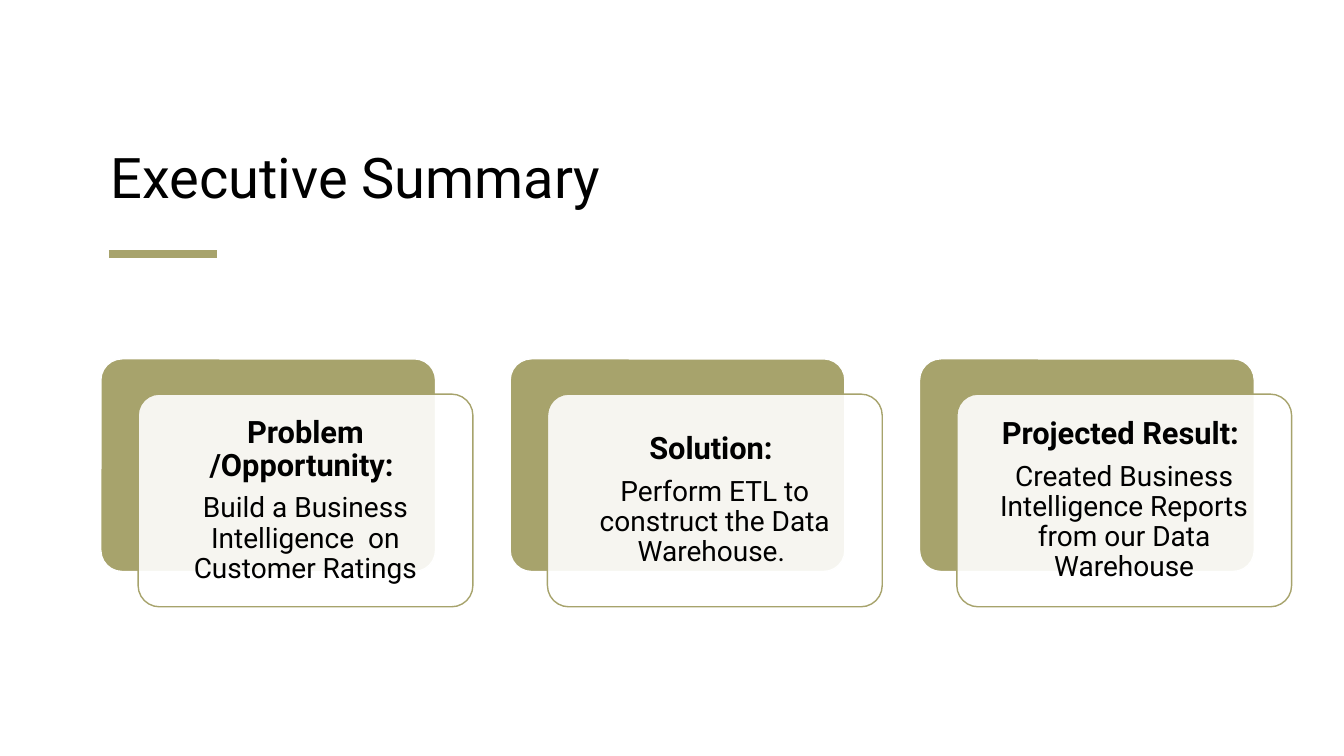
from lxml import etree
from pptx import Presentation
from pptx import util as u
from pptx.dml.color import RGBColor
from pptx.enum import shapes, text
from pptx.oxml.ns import qn

# Content
TITLE = "Executive Summary"
CARDS = [
    ("Problem /Opportunity: ", "Build a Business Intelligence  on Customer Ratings"),
    ("Solution: ", "Perform ETL to construct the Data Warehouse. "),
    ("Projected Result: ", "Created Business Intelligence Reports from our Data Warehouse"),
]

# Theme and layout (inches)
THEME = {
    "font": "Roboto", "ink": "000000", "olive": "A7A36C", "paper": "FFFFFF",
    "title": 40, "heading": 22, "body": 20,
}
CARD_LEFT, CARD_TOP, CARD_PITCH = 1, 3.56, 4.06
CARD_WIDTH, CARD_HEIGHT = 3.32, 2.11
FRONT_SHIFT_X, FRONT_SHIFT_Y = 0.37, 0.35
TEXT_MARGIN = 0.06


def color(name):
    return RGBColor.from_string(THEME[name])


def add_text(page, place, lines, anchor, align=None, inset=(0.1, 0.05), leading=None, after=0):
    """Add a text box; lines holds (text, size name, bold), after is a share of the size."""
    box = page.shapes.add_textbox(*map(u.Inches, place))
    frame = box.text_frame
    frame.word_wrap = True
    frame.vertical_anchor = anchor
    frame.margin_left = frame.margin_right = u.Inches(inset[0])
    frame.margin_top = frame.margin_bottom = u.Inches(inset[1])
    for index, (words, size, bold) in enumerate(lines):
        para = frame.add_paragraph() if index else frame.paragraphs[0]
        para.alignment = align
        para.line_spacing = leading
        para.space_after = u.Pt(THEME[size] * after)
        span = para.add_run()
        span.text = words
        span.font.name = THEME["font"]
        span.font.size = u.Pt(THEME[size])
        span.font.bold = bold
        span.font.color.rgb = color("ink")


def add_panel(page, left, top, fill, line, opacity=100):
    panel = page.shapes.add_shape(
        shapes.MSO_SHAPE.ROUNDED_RECTANGLE,
        *map(u.Inches, (left, top, CARD_WIDTH, CARD_HEIGHT)))
    panel.adjustments[0] = 0.1
    panel.shadow.inherit = False
    panel.fill.solid()
    panel.fill.fore_color.rgb = color(fill)
    panel.line.color.rgb = color(line)
    panel.line.width = u.Pt(1)
    if opacity < 100:
        tint = panel.fill._xPr.find(qn("a:solidFill"))[0]
        etree.SubElement(tint, qn("a:alpha"), val=str(opacity * 1000))


def add_card(page, left, heading, body):
    front_left, front_top = left + FRONT_SHIFT_X, CARD_TOP + FRONT_SHIFT_Y
    add_panel(page, left, CARD_TOP, "olive", "paper")
    add_panel(page, front_left, front_top, "paper", "olive", opacity=90)
    place = (front_left + TEXT_MARGIN, front_top + TEXT_MARGIN,
             CARD_WIDTH - 2 * TEXT_MARGIN, CARD_HEIGHT - 2 * TEXT_MARGIN)
    add_text(page, place, [(heading, "heading", True), (body, "body", False)],
             text.MSO_ANCHOR.MIDDLE, align=text.PP_ALIGN.CENTER,
             inset=(0.09, 0.09), leading=0.9, after=0.35)


def main():
    deck = Presentation()
    deck.slide_width, deck.slide_height = u.Inches(13.33), u.Inches(7.5)
    page = deck.slides.add_slide(deck.slide_layouts[6])

    # Title and accent rule
    add_text(page, (1, 0.62, 11.06, 1.52), [(TITLE, "title", False)],
             text.MSO_ANCHOR.BOTTOM, leading=0.9)
    rule = page.shapes.add_connector(
        shapes.MSO_CONNECTOR.STRAIGHT, *map(u.Inches, (1.08, 2.52, 2.15, 2.52)))
    rule.line.color.rgb = color("olive")
    rule.line.width = u.Pt(6)
    etree.SubElement(rule._element.spPr, qn("a:effectLst"))

    # Cards
    for index, (heading, body) in enumerate(CARDS):
        add_card(page, CARD_LEFT + index * CARD_PITCH, heading, body)

    deck.save("out.pptx")


if __name__ == "__main__":
    main()
